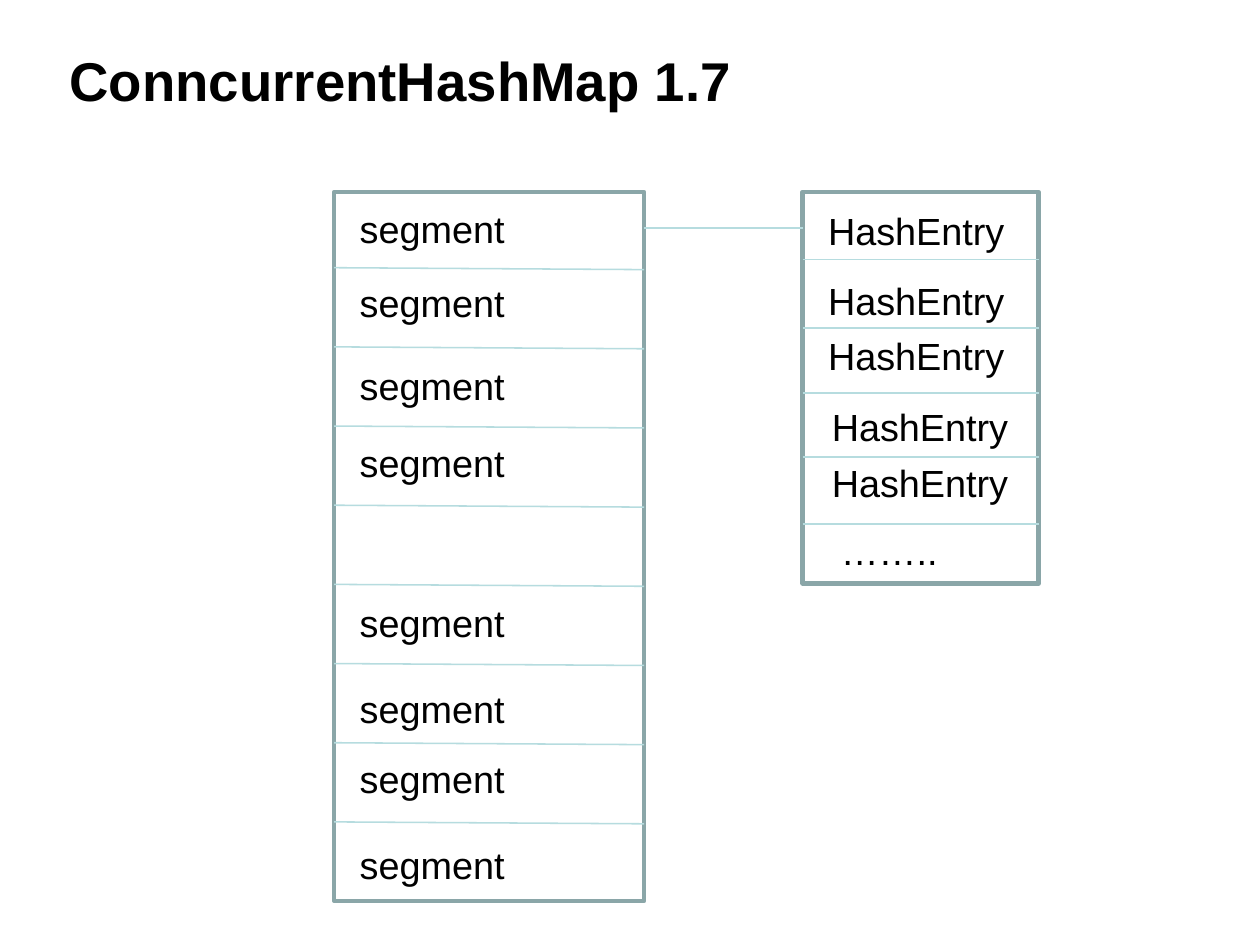
from dataclasses import dataclass

from lxml import etree
from pptx import Presentation
from pptx.dml.color import RGBColor
from pptx.enum.shapes import MSO_CONNECTOR, MSO_SHAPE
from pptx.enum.text import MSO_ANCHOR, MSO_AUTO_SIZE
from pptx.oxml.ns import qn
from pptx.slide import Slide
from pptx.util import Pt

RECTANGLE = MSO_SHAPE.RECTANGLE
STRAIGHT = MSO_CONNECTOR.STRAIGHT
TOP, MIDDLE = MSO_ANCHOR.TOP, MSO_ANCHOR.MIDDLE
FIT_SHAPE = MSO_AUTO_SIZE.SHAPE_TO_FIT_TEXT


@dataclass(frozen=True)
class Theme:
    font: str = "Arial"
    title_size: float = 26
    label_size: float = 18
    text: RGBColor = RGBColor(0x00, 0x00, 0x00)
    border: RGBColor = RGBColor(0x8A, 0xA6, 0xA8)
    divider: RGBColor = RGBColor(0xB6, 0xDC, 0xDF)
    border_width: float = 2
    divider_width: float = 0.75


@dataclass(frozen=True)
class Label:
    text: str
    left: float
    top: float
    width: float
    height: float = 28.8


@dataclass(frozen=True)
class Column:
    """A framed stack of cells; drop is how far each divider falls to the right."""
    left: float
    top: float
    width: float
    height: float
    dividers: list[float]
    drop: float
    labels: list[Label]

    @property
    def right(self) -> float:
        return self.left + self.width


THEME = Theme()
TITLE = Label("ConncurrentHashMap 1.7", 26, 21.6, 448.6, 33.1)

SEGMENTS = Column(
    159.1, 91.4, 147.6, 337.7,
    dividers=[127.5 + 37.7 * row for row in range(8)],
    drop=0.9,
    labels=[Label("segment", 164.2, top, 138.2)
            for top in (94.4, 129.6, 169.4, 206, 282, 323.2, 356.4, 397.4)],
)
ENTRIES = Column(
    382.2, 91.4, 112.4, 186.5,
    dividers=[123.7, 156.2, 187.1, 217.6, 249.6],
    drop=0,
    labels=[
        Label("HashEntry", 387.2, 95.2, 104),
        Label("HashEntry", 387.2, 128.6, 104),
        Label("HashEntry", 387.2, 154.8, 104),
        Label("HashEntry", 389, 188.6, 104),
        Label("HashEntry", 389, 215.3, 104),
        Label("……..", 393.4, 247.7, 90.7),
    ],
)
LINK_Y = 108.6


def add_label(page: Slide, label: Label, size: float, bold: bool = False) -> None:
    box = page.shapes.add_textbox(Pt(label.left), Pt(label.top),
                                  Pt(label.width), Pt(label.height))
    frame = box.text_frame
    frame.word_wrap = True
    frame.vertical_anchor = MIDDLE if bold else TOP
    if not bold:
        frame.auto_size = FIT_SHAPE
    span = frame.paragraphs[0].add_run()
    span.text = label.text
    span.font.name = THEME.font
    span.font.size = Pt(size)
    span.font.bold = bold
    span.font.color.rgb = THEME.text


def add_line(page: Slide, x1: float, y1: float, x2: float, y2: float) -> None:
    line = page.shapes.add_connector(STRAIGHT, Pt(x1), Pt(y1), Pt(x2), Pt(y2))
    line.line.color.rgb = THEME.divider
    line.line.width = Pt(THEME.divider_width)
    etree.SubElement(line._element.spPr, qn("a:effectLst"))


def add_column(page: Slide, column: Column) -> None:
    frame = page.shapes.add_shape(RECTANGLE, Pt(column.left), Pt(column.top),
                                  Pt(column.width), Pt(column.height))
    frame.shadow.inherit = False
    frame.fill.background()
    frame.line.color.rgb = THEME.border
    frame.line.width = Pt(THEME.border_width)
    for y in column.dividers:
        add_line(page, column.left, y, column.right, y + column.drop)
    for label in column.labels:
        add_label(page, label, THEME.label_size)


def main() -> None:
    deck = Presentation()
    deck.slide_width, deck.slide_height = Pt(600), Pt(450)
    page = deck.slides.add_slide(deck.slide_layouts[6])
    add_label(page, TITLE, THEME.title_size, bold=True)
    for column in (SEGMENTS, ENTRIES):
        add_column(page, column)
    add_line(page, SEGMENTS.right, LINK_Y, ENTRIES.left, LINK_Y)
    deck.save("out.pptx")


if __name__ == "__main__":
    main()
